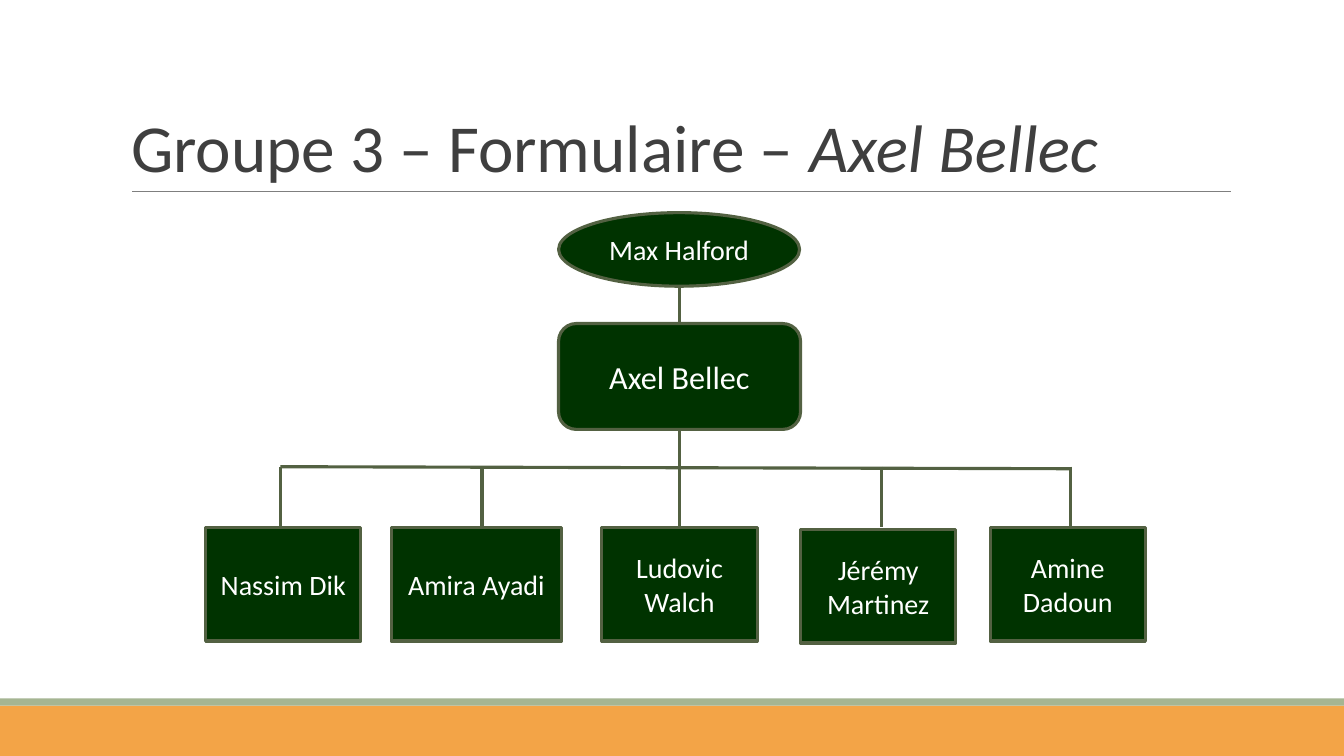
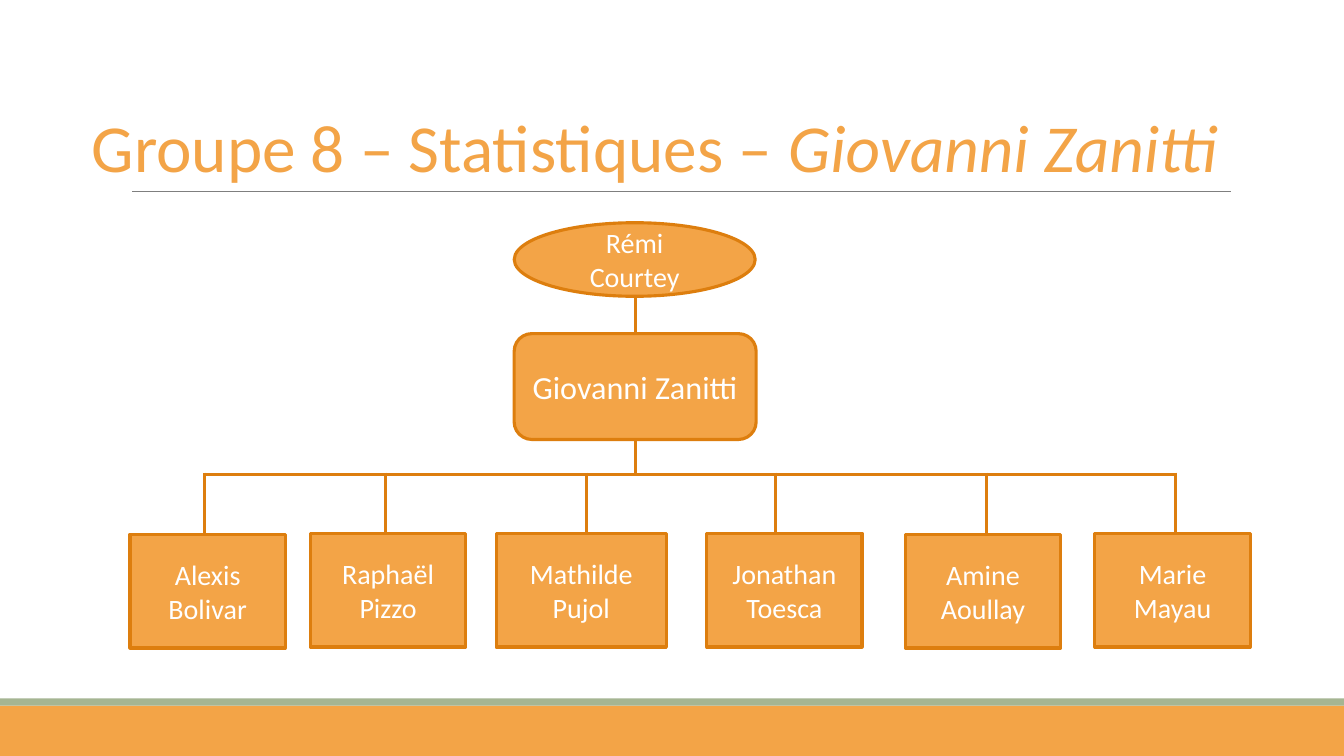
from collections import namedtuple

from lxml.etree import SubElement
from pptx import Presentation
from pptx.dml.color import RGBColor
from pptx.enum.shapes import MSO_CONNECTOR, MSO_SHAPE
from pptx.enum.text import MSO_ANCHOR, MSO_AUTO_SIZE, PP_ALIGN
from pptx.oxml.ns import qn
from pptx.util import Inches, Pt

COLORS = {
    "orange": "F3A447",
    "dark_orange": "DD7E0E",
    "sage": "A5B592",
    "rule": "7F7F7F",
    "title": "3F3F3F",
    "green": "003300",
    "moss": "536142",
    "white": "FFFFFF",
}
FONT = "Calibri"
LEAD_W, LEAD_H = 2.4, 1.05
OVAL_W, OVAL_H = 2.39, 0.73
LEAD_DROP = 1.1
MEMBER_H = 1.13
DROP = 0.6

Member = namedtuple("Member", "name left top drop_x width", defaults=[1.54])
Chart = namedtuple("Chart", "fill line left top bus_ys row_y overseer leader members")


def rgb(name):
    return RGBColor.from_string(COLORS[name])


def add_run(p, text, size, color, italic=None):
    r = p.add_run()
    r.text = text
    r.font.name = FONT
    r.font.size = Pt(size)
    r.font.color.rgb = rgb(color)
    r.font.italic = italic


def add_line(s, x1, y1, x2, y2, color, width=2.25):
    line = s.shapes.add_connector(
        MSO_CONNECTOR.STRAIGHT, Inches(x1), Inches(y1), Inches(x2), Inches(y2))
    line.line.color.rgb = rgb(color)
    line.line.width = Pt(width)
    SubElement(line.element.spPr, qn("a:effectLst"))
    return line


def add_band(s, top, height, color):
    sp = s.shapes.add_shape(
        MSO_SHAPE.RECTANGLE, 0, Inches(top), Inches(13.33), Inches(height))
    sp.shadow.inherit = False
    sp.fill.solid()
    sp.fill.fore_color.rgb = rgb(color)
    sp.line.fill.background()
    return sp


def add_box(s, kind, left, top, width, height, text, fill, line, size=20):
    sp = s.shapes.add_shape(
        kind, Inches(left), Inches(top), Inches(width), Inches(height))
    sp.shadow.inherit = False
    sp.fill.solid()
    sp.fill.fore_color.rgb = rgb(fill)
    sp.line.color.rgb = rgb(line)
    sp.line.width = Pt(2.25)
    tf = sp.text_frame
    tf.word_wrap = True
    tf.vertical_anchor = MSO_ANCHOR.MIDDLE
    for i, part in enumerate(text.split("\n")):
        p = tf.add_paragraph() if i else tf.paragraphs[0]
        p.alignment = PP_ALIGN.CENTER
        add_run(p, part, size, "white")


def place(sp, left, top, width, height):
    sp.left, sp.top = Inches(left), Inches(top)
    sp.width, sp.height = Inches(width), Inches(height)


def style_layout(layout, s):
    title, *extras = layout.placeholders
    for extra in extras:
        layout.shapes.element.remove(extra.element)
    place(title, 1.2, 0.31, 11, 1.59)
    title.text_frame.vertical_anchor = MSO_ANCHOR.BOTTOM
    title.text_frame.auto_size = MSO_AUTO_SIZE.NONE
    decor = [
        add_band(s, 7, 0.5, "orange"),
        add_band(s, 6.93, 0.07, "sage"),
        add_line(s, 1.31, 1.9, 12.21, 1.9, "rule", 0.75),
    ]
    for sp in decor:
        layout.shapes.element.append(sp.element)


def set_title(s, topic, person, color):
    p = s.shapes.title.text_frame.paragraphs[0]
    p.alignment = PP_ALIGN.LEFT
    p.line_spacing = 0.85
    add_run(p, topic, 48, color)
    add_run(p, person, 48, color, italic=True)


def add_org_chart(s, chart):
    look = chart.fill, chart.line
    center = chart.left + LEAD_W / 2
    lead_y = chart.top + LEAD_DROP
    bus_start, bus_end = chart.bus_ys
    drops = [m.drop_x for m in chart.members]

    add_line(s, center, chart.top + OVAL_H, center, lead_y, chart.line)
    add_line(s, center, lead_y + LEAD_H, center, bus_end, chart.line)
    add_line(s, drops[0], bus_start, drops[-1], bus_end, chart.line)
    for x in drops:
        add_line(s, x, chart.row_y - DROP, x, chart.row_y, chart.line)

    add_box(s, MSO_SHAPE.OVAL, chart.left, chart.top, OVAL_W, OVAL_H,
            chart.overseer, *look)
    add_box(s, MSO_SHAPE.ROUNDED_RECTANGLE, chart.left, lead_y, LEAD_W, LEAD_H,
            chart.leader, *look, size=23)
    for m in chart.members:
        add_box(s, MSO_SHAPE.RECTANGLE, m.left, m.top, m.width, MEMBER_H,
                m.name, *look)


FORM_TEAM = Chart(
    "green", "moss", 5.54, 2.11, (4.63, 4.65), 5.23, "Max Halford", "Axel Bellec",
    [
        Member("Nassim Dik", 2.04, 5.23, 2.78),
        Member("Amira Ayadi", 3.88, 5.23, 4.78, 1.69),
        Member("Ludovic Walch", 5.97, 5.23, 6.74),
        Member("Jérémy Martinez", 7.94, 5.25, 8.74),
        Member("Amine Dadoun", 9.82, 5.23, 10.62),
    ])
STATS_TEAM = Chart(
    "orange", "dark_orange", 5.1, 2.21, (4.71, 4.71), 5.29,
    "Rémi Courtey", "Giovanni Zanitti",
    [
        Member("Alexis Bolivar", 1.29, 5.3, 2.03),
        Member("Raphaël Pizzo", 3.08, 5.29, 3.82),
        Member("Mathilde Pujol", 4.92, 5.29, 5.82, 1.69),
        Member("Jonathan Toesca", 7.01, 5.29, 7.69),
        Member("Amine\nAoullay", 8.98, 5.3, 9.78),
        Member("Marie Mayau", 10.86, 5.29, 11.66),
    ])


def main():
    prs = Presentation()
    prs.slide_width, prs.slide_height = Inches(13.33), Inches(7.5)
    layout = prs.slide_layouts.get_by_name("Title Only")

    s = prs.slides.add_slide(layout)
    style_layout(layout, s)
    set_title(s, "Groupe 3 – Formulaire – ", FORM_TEAM.leader, "title")
    add_org_chart(s, FORM_TEAM)

    s = prs.slides.add_slide(layout)
    place(s.shapes.title, 0.81, 0.31, 11.67, 1.59)
    set_title(s, "Groupe 8 – Statistiques – ", STATS_TEAM.leader, "orange")
    add_org_chart(s, STATS_TEAM)

    prs.save("out.pptx")


if __name__ == "__main__":
    main()
